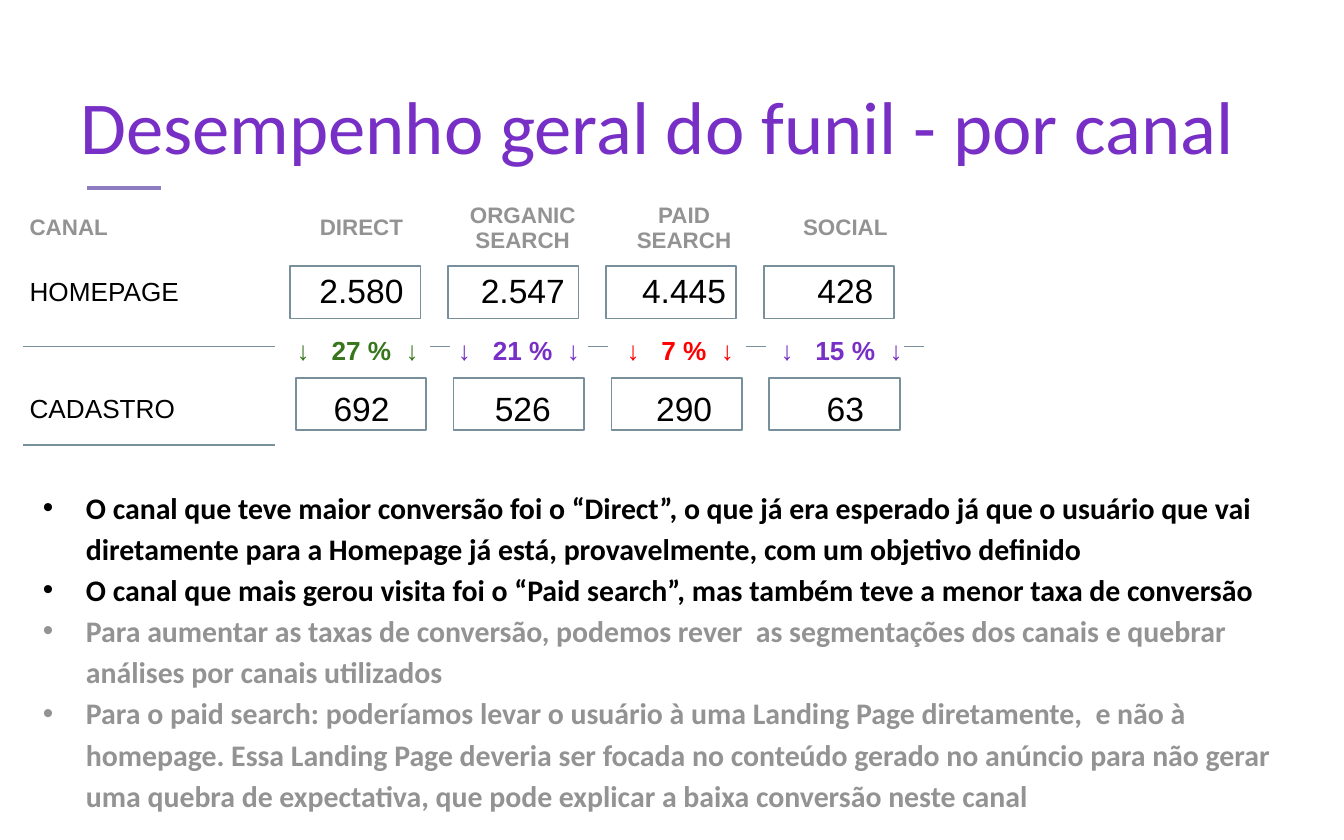
from lxml import etree
from pptx import Presentation
from pptx.dml.color import RGBColor
from pptx.enum.shapes import MSO_CONNECTOR, MSO_SHAPE
from pptx.enum.text import MSO_ANCHOR, MSO_AUTO_SIZE, PP_ALIGN
from pptx.oxml.ns import qn
from pptx.util import Inches, Pt

STRAIGHT = MSO_CONNECTOR.STRAIGHT
RECTANGLE = MSO_SHAPE.RECTANGLE
MIDDLE, TOP = MSO_ANCHOR.MIDDLE, MSO_ANCHOR.TOP
NO_AUTOFIT = MSO_AUTO_SIZE.NONE
LEFT, CENTER = PP_ALIGN.LEFT, PP_ALIGN.CENTER

BLACK, GRAY, PURPLE = "000000", "939393", "772FC6"
GREEN, RED, SLATE = "38761D", "FF0000", "78909C"
NO_STYLE_NO_GRID = "{2D5ABB26-0587-4C30-8999-92F81FD0307C}"
CHANNELS = 4
CHANNEL_PITCH = 4.7 / CHANNELS


def rgb(color):
    return RGBColor.from_string(color)


def format_runs(paragraph, font_name, size, color, bold=False):
    for run in paragraph.runs:
        run.font.name = font_name
        run.font.size = Pt(size)
        run.font.bold = bold
        run.font.color.rgb = rgb(color)


presentation = Presentation()
presentation.slide_width = Inches(10)
presentation.slide_height = Inches(6.25)
slide = presentation.slides.add_slide(presentation.slide_layouts[1])
shapes = slide.shapes

# Frames behind the visit and sign-up numbers
for first_left, top in ((2.16, 1.98), (2.2, 2.81)):
    for channel in range(CHANNELS):
        frame = shapes.add_shape(RECTANGLE, Inches(first_left + CHANNEL_PITCH * channel),
                                 Inches(top), Inches(0.97), Inches(0.39))
        frame.shadow.inherit = False
        frame.fill.solid()
        frame.fill.fore_color.rgb = rgb("FFFFFF")
        frame.line.color.rgb = rgb(SLATE)
        frame.line.width = Pt(1)

# Funnel table: text, then size, bold and colours for each row; two stages are open
open_stage = ([""] * 5, 14, False, [BLACK] * 5)
rows = [
    (["CANAL", "DIRECT", "ORGANIC SEARCH", "PAID SEARCH", "SOCIAL"],
     12, True, [GRAY] * 5),
    (["HOMEPAGE", "2.580", "2.547", "4.445", "428"], 18, False, [BLACK] * 5),
    (["", "↓   27 %  ↓ ", "↓   21 %  ↓ ", "↓   7 %  ↓ ", "↓   15 %  ↓ "],
     14, True, [BLACK, GREEN, PURPLE, RED, PURPLE]),
    (["CADASTRO", "692", "526", "290", "63"], 18, False, [BLACK] * 5),
    open_stage,
    open_stage,
]
column_widths = [1.97] + [1.2] * CHANNELS
row_heights = [0.49] + [0.47, 0.39] * 2 + [0.47]
table_frame = shapes.add_table(len(rows), len(column_widths), Inches(0.12), Inches(1.45),
                               Inches(sum(column_widths)), Inches(sum(row_heights)))
table = table_frame.table
table.first_row = False
table.horz_banding = False
table_frame._element.find(".//" + qn("a:tableStyleId")).text = NO_STYLE_NO_GRID
for column, width in zip(table.columns, column_widths):
    column.width = Inches(width)
for row, height in zip(table.rows, row_heights):
    row.height = Inches(height)
for row_index, (texts, size, bold, colors) in enumerate(rows):
    for column_index, (text, color) in enumerate(zip(texts, colors)):
        cell = table.cell(row_index, column_index)
        cell.fill.background()
        cell.vertical_anchor = MIDDLE
        paragraph = cell.text_frame.paragraphs[0]
        paragraph.text = text
        paragraph.alignment = CENTER if column_index else LEFT
        cell_size = size if column_index else min(size, 14)
        format_runs(paragraph, "Arial", cell_size, color, bold)

# Title accent, stage rules and the short dashes between the rates
rules = [(0.65, 1.2, 1.4, "8E7CC3", 2),
         (0.17, 2.05, 2.58, SLATE, 0.75),
         (0.17, 2.05, 3.31, SLATE, 0.75)]
for channel in range(CHANNELS):
    dash_left = 3.2 + CHANNEL_PITCH * channel
    rules.append((dash_left, dash_left + 0.15, 2.58, SLATE, 0.75))
for start, end, top, color, width in rules:
    rule = shapes.add_connector(STRAIGHT, Inches(start), Inches(top), Inches(end), Inches(top))
    rule.line.color.rgb = rgb(color)
    rule.line.width = Pt(width)
    etree.SubElement(rule._element.spPr, qn("a:effectLst"))

# Title
title = shapes.title
title.left, title.top = Inches(0.5), Inches(0.58)
title.width, title.height = Inches(9), Inches(0.7)
title.text_frame.text = "Desempenho geral do funil - por canal"
title.text_frame.auto_size = NO_AUTOFIT
title.text_frame.vertical_anchor = MIDDLE
title_paragraph = title.text_frame.paragraphs[0]
title_paragraph.alignment = LEFT
format_runs(title_paragraph, "Calibri", 40, PURPLE)

# Findings and next steps
findings = [
    ("O canal que teve maior conversão foi o “Direct”, o que já era esperado já que o usuário "
     "que vai diretamente para a Homepage já está, provavelmente, com um objetivo definido", BLACK),
    ("O canal que mais gerou visita foi o “Paid search”, mas também teve a menor taxa de "
     "conversão", BLACK),
    ("Para aumentar as taxas de conversão, podemos rever  as segmentações dos canais e quebrar "
     "análises por canais utilizados", GRAY),
    ("Para o paid search: poderíamos levar o usuário à uma Landing Page diretamente,  e não à "
     "homepage. Essa Landing Page deveria ser focada no conteúdo gerado no anúncio para não gerar "
     "uma quebra de expectativa, que pode explicar a baixa conversão neste canal", GRAY),
]
body = slide.placeholders[1]
body.left, body.top = Inches(0.16), Inches(3.55)
body.width, body.height = Inches(9.63), Inches(2.65)
body.text_frame.text = "\n".join(text for text, color in findings)
body.text_frame.auto_size = NO_AUTOFIT
body.text_frame.vertical_anchor = TOP
for paragraph, (text, color) in zip(body.text_frame.paragraphs, findings):
    paragraph.alignment = LEFT
    paragraph.line_spacing = 1.15
    paragraph.space_before = Pt(0)
    format_runs(paragraph, "Calibri", 16, color, True)
    properties = paragraph._p.get_or_add_pPr()
    properties.set("marL", str(Inches(0.38)))
    properties.set("indent", str(Inches(-0.32)))
    bullet_color = etree.SubElement(properties, qn("a:buClr"))
    etree.SubElement(bullet_color, qn("a:srgbClr"), val=color)
    etree.SubElement(properties, qn("a:buFont"), typeface="Arial")
    etree.SubElement(properties, qn("a:buChar"), char="•")

presentation.save("out.pptx")
